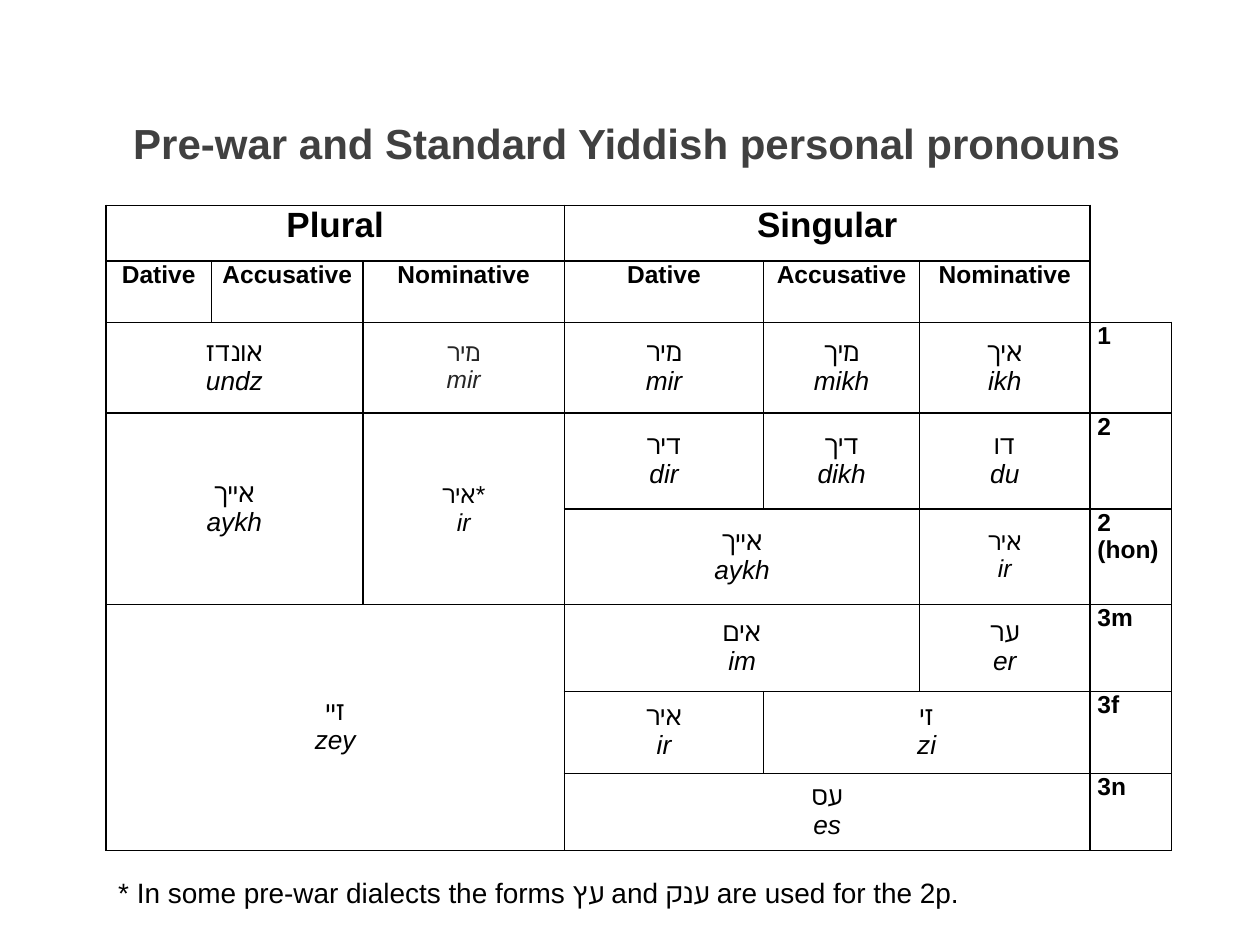
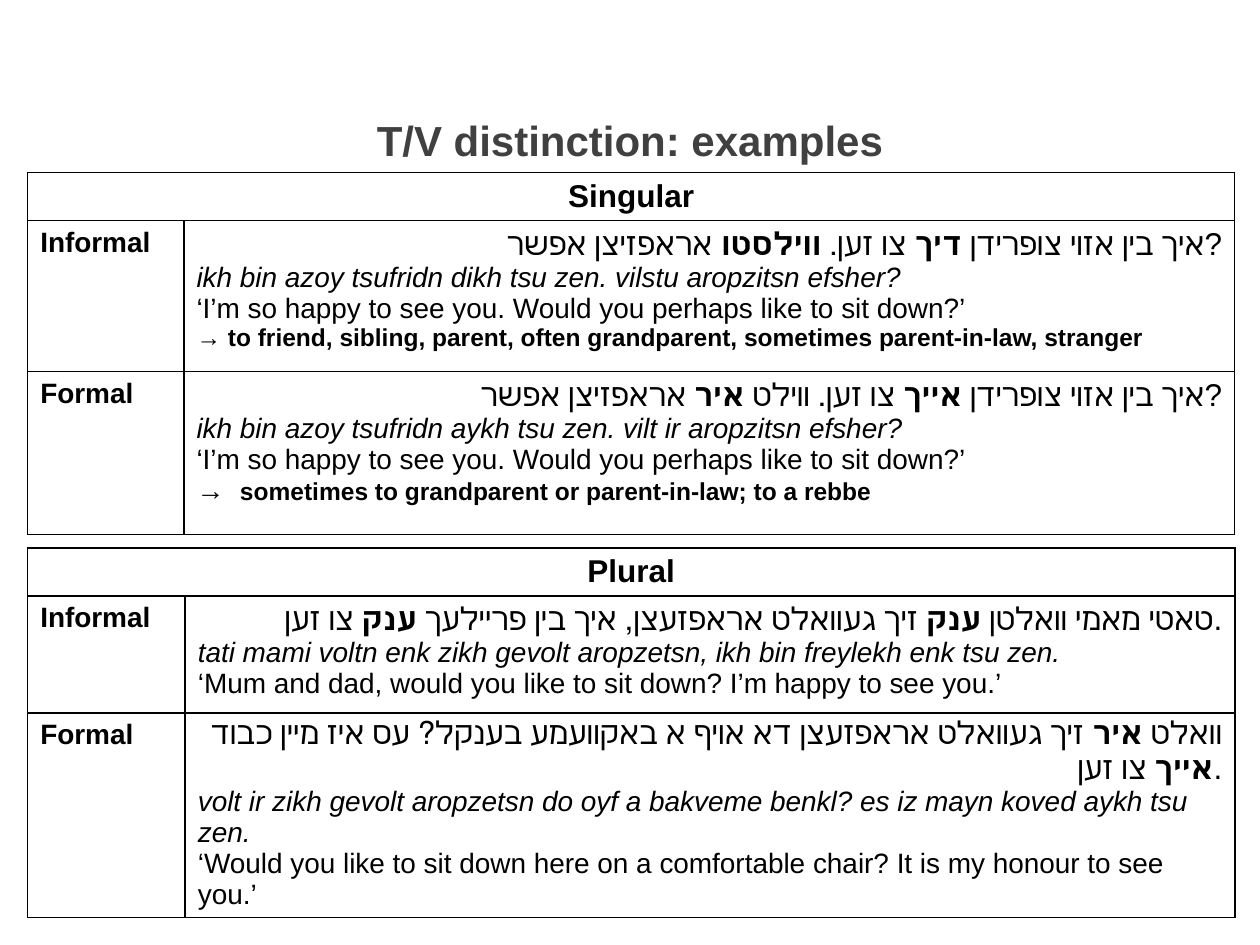
from lxml.etree import SubElement
from pptx import Presentation
from pptx.dml.color import RGBColor
from pptx.enum.text import MSO_ANCHOR, PP_ALIGN
from pptx.oxml.ns import qn
from pptx.util import Inches, Pt

# Shared look
FONT, HEBREW_FONT = "Arial", "Cambria"
BLACK, TITLE_GREY, SOFT_BLACK = "000000", "404040", "262626"
LABEL_MARGINS = (0.06, 0)
FORM_MARGINS = (0.07, 0.04)
TEXT_MARGINS = (0.1, 0.05)

# Pronoun table: row, column, rows spanned, columns spanned, then the text
PRONOUN_TITLE = "Pre-war and Standard Yiddish personal pronouns"
PRONOUN_COLUMNS = [0.84, 1.2, 1.6, 1.58, 1.24, 1.35, 0.65]
PRONOUN_ROWS = [0.44, 0.49, 0.72, 0.76, 0.76, 0.69, 0.65, 0.61]
NUMBERS = ["Plural", "Singular"]
CASES = ["Dative", "Accusative", "Nominative"]
PERSONS = ["1", "2", "2 (hon)", "3m", "3f", "3n"]
PRONOUNS = [
    (2, 0, 1, 2, "אונדז", "undz"),
    (2, 2, 1, 1, "מיר", "mir"),
    (2, 3, 1, 1, "מיר", "mir"),
    (2, 4, 1, 1, "מיך", "mikh"),
    (2, 5, 1, 1, "איך", "ikh"),
    (3, 0, 2, 2, "אייך", "aykh"),
    (3, 2, 2, 1, "איר*", "ir"),
    (3, 3, 1, 1, "דיר", "dir"),
    (3, 4, 1, 1, "דיך", "dikh"),
    (3, 5, 1, 1, "דו", "du"),
    (4, 3, 1, 2, "אייך", "aykh"),
    (4, 5, 1, 1, "איר", "ir"),
    (5, 0, 3, 3, "זיי", "zey"),
    (5, 3, 1, 2, "אים", "im"),
    (5, 5, 1, 1, "ער", "er"),
    (6, 3, 1, 1, "איר", "ir"),
    (6, 4, 1, 2, "זי", "zi"),
    (7, 3, 1, 3, "עס", "es"),
]
SMALL_FORMS = {(2, 2), (3, 2), (4, 5)}
CAMBRIA_FORMS = {(2, 2), (2, 4)}
SOFT_FORMS = {(2, 2)}
FOOTNOTE = "* In some pre-war dialects the forms עץ and ענק are used for the 2p."

# Example tables: every second part of a Yiddish sentence is bold
EXAMPLE_TITLE = "T/V distinction: examples"
SIT_DOWN = "‘I’m so happy to see you. Would you perhaps like to sit down?’"
EXAMPLES = [
    {
        "number": "Singular", "top": 1.37,
        "columns": [1.24, 8.34], "rows": [0.38, 1.2, 1.29],
        "registers": [
            {
                "name": "Informal",
                "yiddish": ["איך בין אזוי צופרידן ", "דיך", " צו זען. ",
                            "ווילסטו ", "אראפזיצן אפשר?"],
                "roman": "ikh bin azoy tsufridn dikh tsu zen. vilstu aropzitsn efsher?",
                "english": SIT_DOWN,
                "usage": [("→ to friend, sibling, parent, often grandparent, "
                           "sometimes parent-in-law, stranger", 14)],
            },
            {
                "name": "Formal",
                "yiddish": ["איך בין אזוי צופרידן ", "אייך", " צו זען. ווילט ",
                            "איר", " אראפזיצן אפשר?"],
                "roman": "ikh bin azoy tsufridn aykh tsu zen. vilt ir aropzitsn efsher?",
                "english": SIT_DOWN,
                "usage": [("→  ", 16),
                          ("sometimes to grandparent or parent-in-law; to a rebbe", 14)],
            },
        ],
    },
    {
        "number": "Plural", "top": 4.35,
        "columns": [1.25, 8.33], "rows": [0.38, 0.93, 1.62],
        "registers": [
            {
                "name": "Informal",
                "yiddish": ["טאטי מאמי וואלטן ", "ענק",
                            " זיך געוואלט אראפזעצן, איך בין פריילעך ",
                            "ענק", " צו זען."],
                "roman": "tati mami voltn enk zikh gevolt aropzetsn, "
                         "ikh bin freylekh enk tsu zen.",
                "english": "‘Mum and dad, would you like to sit down? "
                           "I’m happy to see you.’",
            },
            {
                "name": "Formal",
                "yiddish": ["וואלט ", "איר",
                            " זיך געוואלט אראפזעצן דא אויף א באקוועמע בענקל? "
                            "עס איז מיין כבוד ",
                            "אייך", " צו זען."],
                "roman": "volt ir zikh gevolt aropzetsn do oyf a bakveme benkl? "
                         "es iz mayn koved aykh tsu zen.",
                "english": "‘Would you like to sit down here on a comfortable chair? "
                           "It is my honour to see you.’",
            },
        ],
    },
]


def color(hex_string):
    return RGBColor.from_string(hex_string)


# Text
def add_span(para, text, size, bold=False, italic=False, ink=BLACK, font=FONT):
    span = para.add_run()
    span.text = text
    span.font.name = font
    span.font.size = Pt(size)
    span.font.bold = bold
    span.font.italic = italic
    span.font.color.rgb = color(ink)


def add_para(frame, align=PP_ALIGN.LEFT):
    first = frame.paragraphs[0]
    para = frame.add_paragraph() if first.runs else first
    para.alignment = align
    return para


def add_page(deck, title, left, top, width, height):
    page = deck.slides.add_slide(deck.slide_layouts[5])
    box = page.shapes.title
    box.left, box.top = Inches(left), Inches(top)
    box.width, box.height = Inches(width), Inches(height)
    box.text_frame.vertical_anchor = MSO_ANCHOR.MIDDLE
    para = add_para(box.text_frame, PP_ALIGN.CENTER)
    add_span(para, title, 24, bold=True, ink=TITLE_GREY)
    return page


# Tables
def add_grid(page, left, top, columns, rows):
    grid = page.shapes.add_table(len(rows), len(columns), Inches(left), Inches(top),
                                 Inches(sum(columns)), Inches(sum(rows))).table
    grid.first_row = grid.horz_banding = False
    for column, width in zip(grid.columns, columns):
        column.width = Inches(width)
    for row, height in zip(grid.rows, rows):
        row.height = Inches(height)
    return grid


def draw_borders(cell, sides):
    properties = cell._tc.get_or_add_tcPr()
    for side in "LRTB":
        line = SubElement(properties, qn("a:ln" + side), w=str(Pt(1)))
        if side in sides:
            fill = SubElement(line, qn("a:solidFill"))
            SubElement(fill, qn("a:srgbClr"), val=BLACK)
        else:
            SubElement(line, qn("a:noFill"))


def open_cell(grid, row, column, height=1, width=1, margins=TEXT_MARGINS,
              anchor=MSO_ANCHOR.TOP, sides="LRTB"):
    """Merge, border and clear a block of cells; return its first cell's text."""
    bottom, right = row + height - 1, column + width - 1
    for r in range(row, bottom + 1):
        for c in range(column, right + 1):
            outer = {"L": c == column, "R": c == right, "T": r == row, "B": r == bottom}
            is_first = (r, c) == (row, column)
            part = grid.cell(r, c)
            draw_borders(part, [s for s in sides if is_first or outer[s]])
            part.fill.background()
    cell = grid.cell(row, column)
    if height * width > 1:
        cell.merge(grid.cell(bottom, right))
    cell.margin_left = cell.margin_right = Inches(margins[0])
    cell.margin_top = cell.margin_bottom = Inches(margins[1])
    cell.vertical_anchor = anchor
    return cell.text_frame


def build_pronouns(deck):
    page = add_page(deck, PRONOUN_TITLE, 0.75, 0.91, 8.45, 0.44)
    grid = add_grid(page, 0.84, 1.63, PRONOUN_COLUMNS, PRONOUN_ROWS)

    def add_label(text, size, align, *place):
        frame = open_cell(grid, *place, margins=LABEL_MARGINS)
        add_span(add_para(frame, align), text, size, bold=True)

    # Number and case headings, with an open corner beside them
    for n, number in enumerate(NUMBERS):
        start = n * len(CASES)
        add_label(number, 20, PP_ALIGN.CENTER, 0, start, 1, len(CASES))
        for c, case in enumerate(CASES, start):
            add_label(case, 14, PP_ALIGN.CENTER, 1, c)
    corner = len(PRONOUN_COLUMNS) - 1
    open_cell(grid, 0, corner, 2, 1, sides="LB")

    # Person labels
    for r, person in enumerate(PERSONS, 2):
        align = PP_ALIGN.LEFT if person in ("3f", "3n") else PP_ALIGN.JUSTIFY
        add_label(person, 14, align, r, corner)

    # Pronoun forms
    for row, column, height, width, yiddish, roman in PRONOUNS:
        place = (row, column)
        size = 14 if place in SMALL_FORMS else 15
        ink = SOFT_BLACK if place in SOFT_FORMS else BLACK
        font = HEBREW_FONT if place in CAMBRIA_FORMS else FONT
        frame = open_cell(grid, row, column, height, width, FORM_MARGINS,
                          MSO_ANCHOR.MIDDLE)
        add_span(add_para(frame, PP_ALIGN.CENTER), yiddish, size, ink=ink, font=font)
        add_span(add_para(frame, PP_ALIGN.CENTER), roman, size, italic=True, ink=ink)

    # Footnote
    box = page.shapes.add_textbox(Inches(0.84), Inches(6.9), Inches(8.46), Inches(0.37))
    box.text_frame.word_wrap = True
    add_span(add_para(box.text_frame), FOOTNOTE, 16)


def build_examples(deck):
    page = add_page(deck, EXAMPLE_TITLE, 0.36, 0.84, 9.28, 0.53)
    for example in EXAMPLES:
        grid = add_grid(page, 0.22, example["top"], example["columns"], example["rows"])
        heading = open_cell(grid, 0, 0, 1, 2)
        add_span(add_para(heading, PP_ALIGN.CENTER), example["number"], 18, bold=True)
        for r, register in enumerate(example["registers"], 1):
            add_span(add_para(open_cell(grid, r, 0)), register["name"], 16, bold=True)
            frame = open_cell(grid, r, 1)
            para = add_para(frame, PP_ALIGN.RIGHT)
            for n, part in enumerate(register["yiddish"]):
                add_span(para, part, 18, bold=n % 2 == 1)
            add_span(add_para(frame), register["roman"], 16, italic=True)
            add_span(add_para(frame), register["english"], 16)
            if "usage" in register:
                para = add_para(frame)
                for text, size in register["usage"]:
                    add_span(para, text, size, bold=True)


def main():
    deck = Presentation()
    deck.slide_width, deck.slide_height = Inches(10), Inches(7.5)
    build_pronouns(deck)
    build_examples(deck)
    deck.save("out.pptx")


if __name__ == "__main__":
    main()
